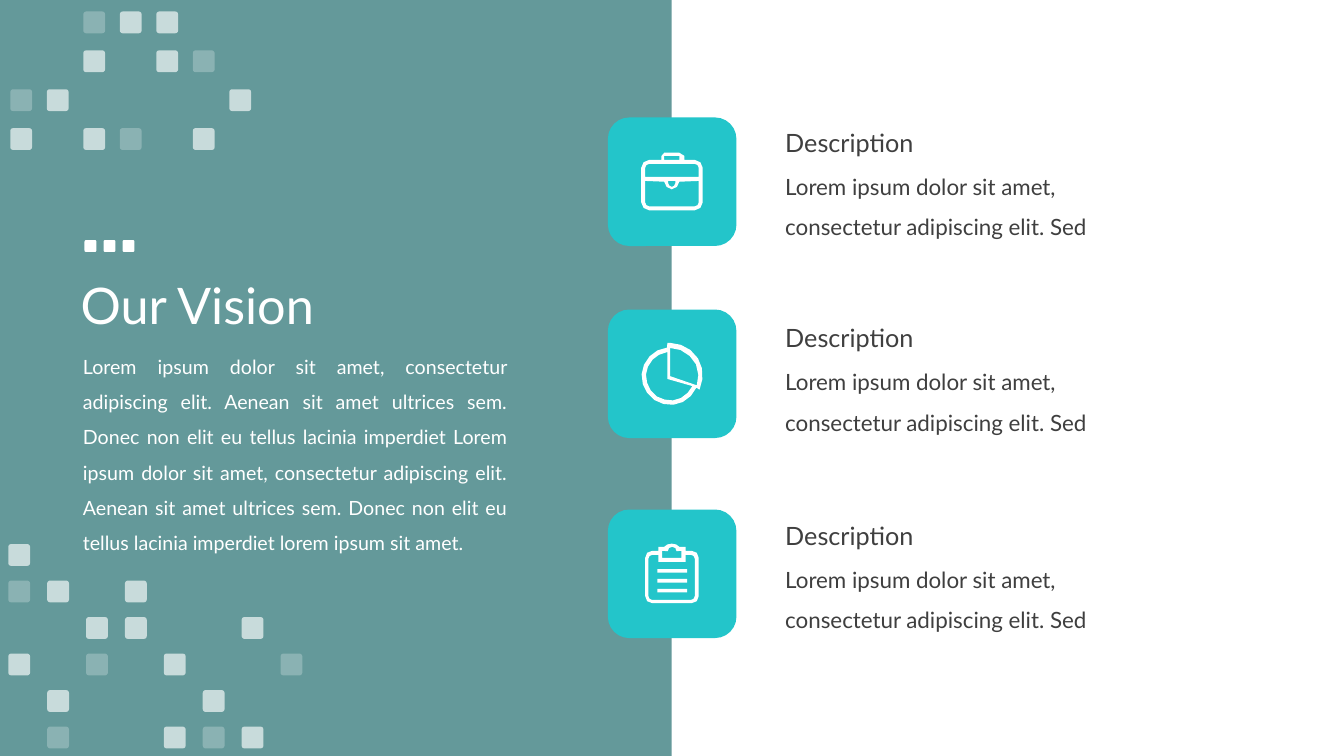
import math
from lxml import etree
from pptx import Presentation
from pptx import util as u
from pptx.dml.color import RGBColor
from pptx.enum import shapes, text
from pptx.oxml.ns import qn

COLORS = {"panel": "126365", "tile": "23C5CA", "white": "FFFFFF", "dark": "3F3F3F"}
VISION = (
    "Lorem ipsum dolor sit amet, consectetur adipiscing elit. Aenean sit amet ultrices sem. "
    "Donec non elit eu tellus lacinia imperdiet Lorem ipsum dolor sit amet, consectetur "
    "adipiscing elit. Aenean sit amet ultrices sem. Donec non elit eu tellus lacinia "
    "imperdiet lorem ipsum sit amet."
)
DETAIL = "Lorem ipsum dolor sit amet, consectetur adipiscing elit. Sed"


def paint(shape, color, opacity=100):
    """Give a shape a flat fill with no line or shadow."""
    shape.shadow.inherit = False
    shape.line.fill.background()
    shape.fill.solid()
    shape.fill.fore_color.rgb = RGBColor.from_string(COLORS[color])
    if opacity < 100:
        rgb = shape.fill._xPr.find(".//" + qn("a:srgbClr"))
        etree.SubElement(rgb, qn("a:alpha")).set("val", str(opacity * 1000))


def arc(cx, cy, radius, start, stop):
    """Points along a circle, finer on wide ones; degrees run clockwise from the right."""
    steps = max(2, round(abs(stop - start) / (20 if radius > 50 else 45)))
    angles = [math.radians(start + (stop - start) * i / steps) for i in range(steps + 1)]
    return [(cx + radius * math.cos(a), cy + radius * math.sin(a)) for a in angles]


# Icon outlines in hundredths of a centimetre from the tile corner; inner contours are holes
briefcase = [
    arc(104, 127, 20, 180, 270) + [(135, 107), (135, 97), (142, 89), (180, 89), (193, 97),
                                   (193, 107)]
    + arc(219, 127, 20, 270, 360) + arc(219, 214, 20, 0, 90) + arc(104, 214, 20, 90, 180),
    [(142, 107), (142, 97), (180, 97), (180, 107)],
    [(94, 150)] + arc(104, 127, 10, 180, 270) + arc(219, 127, 10, 270, 360) + [(229, 150)],
    [(94, 160)] + arc(161, 162, 19, 180, 0) + [(229, 160)]
    + arc(219, 214, 10, 0, 90) + arc(104, 214, 10, 90, 180),
    [(152, 160), (170, 160)] + arc(161, 166, 9, 0, 180),
]
pie = [
    [(150, 84)] + arc(157, 166, 82, 270, 386) + arc(157, 168, 72, 24, 264),
    arc(157, 168, 61, 24, 263) + [(150, 175)],
    [(157, 168)] + arc(157, 168, 71, 270, 379),
]
clipboard = [
    arc(112, 122, 18, 180, 270)
    + [(127, 104), (127, 94), (142, 94), (150, 88), (161, 86), (172, 88), (180, 94),
       (196, 94), (196, 104)]
    + arc(211, 122, 18, 270, 360) + arc(211, 218, 18, 0, 90) + arc(112, 218, 18, 90, 180),
    arc(112, 124, 10, 180, 270) + [(127, 114), (127, 132), (196, 132), (196, 114)]
    + arc(209, 124, 10, 270, 360) + arc(209, 218, 10, 0, 90) + arc(112, 218, 10, 90, 180),
    [(137, 104)] + arc(162, 105, 11, 180, 360) + [(185, 104), (185, 122), (137, 122)],
]
for top in (150, 175, 200):
    clipboard.append([(125, top), (200, top), (200, top + 9), (125, top + 9)])

prs = Presentation()
prs.slide_width, prs.slide_height = u.Cm(33.87), u.Cm(19.05)
slide = prs.slides.add_slide(prs.slide_layouts[5])

panel = slide.shapes.add_shape(shapes.MSO_SHAPE.RECTANGLE, 0, 0, u.Cm(16.93), u.Cm(19.05))
paint(panel, "panel", 65)
slide.shapes._spTree.insert(2, panel._element)  # behind the title

title = slide.shapes.title
title.left, title.top, title.width, title.height = u.Cm(1.78), u.Cm(5.64), u.Cm(29.21), u.Cm(4.24)
title.text_frame.text = "Our Vision"
title.text_frame.vertical_anchor = text.MSO_ANCHOR.MIDDLE

# Tiles with their icons
tile_left, tile_size = 15.32, 3.24
for tile_top, icon in ((2.96, briefcase), (7.8, pie), (12.84, clipboard)):
    tile = slide.shapes.add_shape(shapes.MSO_SHAPE.ROUNDED_RECTANGLE, u.Cm(tile_left),
                                  u.Cm(tile_top), u.Cm(tile_size), u.Cm(tile_size))
    paint(tile, "tile")
    outline = slide.shapes.build_freeform(*icon[0][0], scale=u.Cm(0.01))
    outline.add_line_segments(icon[0][1:])
    for hole in icon[1:]:
        outline.move_to(*hole[0])
        outline.add_line_segments(hole[1:])
    paint(outline.convert_to_shape(u.Cm(tile_left), u.Cm(tile_top)), "white")

# Text: words, left, top, width, height, size, colour, line spacing, alignment
left, justify = text.PP_ALIGN.LEFT, text.PP_ALIGN.JUSTIFY
passages = [(VISION, 1.84, 8.52, 11.2, 5.51, 14, "white", 1.5, justify)]
for heading_top in (3.08, 8, 12.98):
    passages.append((DETAIL, 19.54, heading_top + 0.82, 10.11, 2.18, 16, "dark", 1.5, left))
    passages.append(("Description", 19.54, heading_top, 5.97, 1.02, 18, "dark", 1, left))

styled = [(title, 36, "white", 0.9, left)]
for words, x, y, width, height, *style in passages:
    passage = slide.shapes.add_textbox(u.Cm(x), u.Cm(y), u.Cm(width), u.Cm(height))
    passage.text_frame.word_wrap = True
    passage.text_frame.auto_size = text.MSO_AUTO_SIZE.SHAPE_TO_FIT_TEXT
    passage.text_frame.text = words
    styled.append((passage, *style))
for holder, size, color, spacing, align in styled:
    paragraph = holder.text_frame.paragraphs[0]
    paragraph.alignment, paragraph.line_spacing = align, spacing
    font = paragraph.runs[0].font
    font.name, font.size = "Lato", u.Pt(size)
    font.color.rgb = RGBColor.from_string(COLORS[color])

# Square patterns: "#" bright, "o" faint, "w" solid; left, top, column step, row step, side
opacities = {"#": 65, "o": 25, "w": 100}
patterns = [
    (("www",), 2.13, 6.05, 0.48, 0, 0.3),
    (("#", "o# #", "  ##  #", "# o #  o", " #   #", " o  #o#"), 0.21, 13.71, 0.98, 0.92, 0.55),
    (("  o##", "  # #o", "o#    #", "# #o #"), 0.26, 0.29, 0.92, 0.98, 0.55),
]
for rows, x, y, column_step, row_step, side in patterns:
    pattern = slide.shapes.add_group_shape()
    for r, row in enumerate(rows):
        for c, mark in enumerate(row):
            if mark in opacities:
                square = pattern.shapes.add_shape(
                    shapes.MSO_SHAPE.ROUNDED_RECTANGLE, u.Cm(x + c * column_step),
                    u.Cm(y + r * row_step), u.Cm(side), u.Cm(side))
                square.adjustments[0] = 0.13
                paint(square, "white", opacities[mark])

prs.save("out.pptx")
